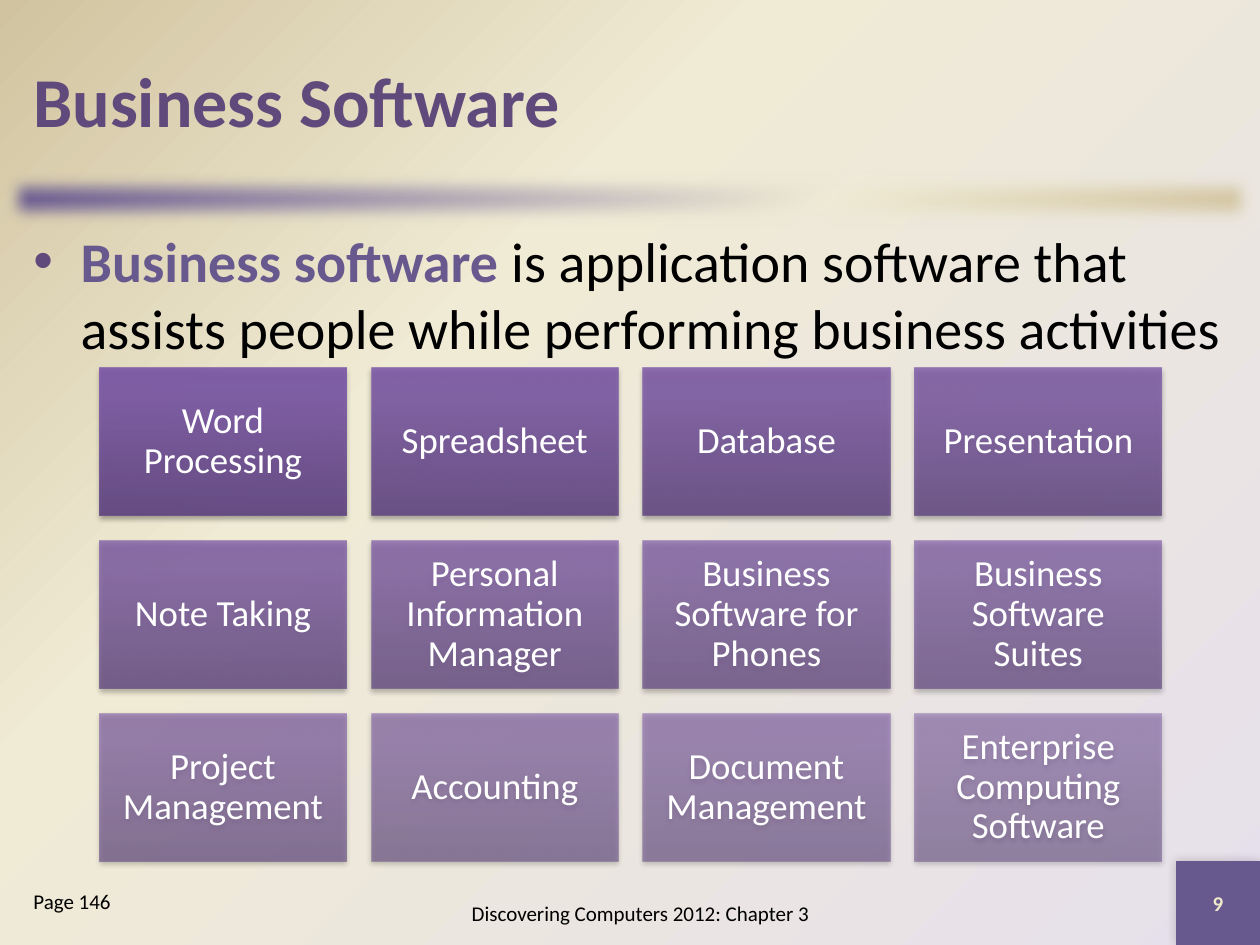
from lxml import etree
from pptx import Presentation
from pptx.dml.color import RGBColor
from pptx.enum.shapes import MSO_SHAPE
from pptx.enum.text import MSO_ANCHOR, PP_ALIGN
from pptx.oxml import parse_xml
from pptx.oxml.ns import qn
from pptx.util import Pt

RECT = MSO_SHAPE.RECTANGLE
LEFT, CENTER = PP_ALIGN.LEFT, PP_ALIGN.CENTER
TOP, MIDDLE = MSO_ANCHOR.TOP, MSO_ANCHOR.MIDDLE
FONT = "Calibri"
NS = 'xmlns:a="http://schemas.openxmlformats.org/drawingml/2006/main"'
C = {
    "lilac": "E6E0EC", "cream": "F0EBD5", "tan": "D1C39F",
    "purple": "67588E", "title": "604A7B", "number": "EEEBCA",
    "card_dark": "5F4480", "card_mid": "7B58A6", "card_light": "7C57A8",
    "black": "000000", "white": "FFFFFF",
}
SHADOW = (
    f'<a:effectLst {NS}><a:outerShdw blurRad="{{blur}}" dist="{{dist}}" dir="{{angle}}" '
    'algn="ctr" rotWithShape="0"><a:srgbClr val="000000"><a:alpha val="{alpha}"/>'
    '</a:srgbClr></a:outerShdw></a:effectLst>'
)


def set_gradient(fill, parent, stops, direction, opacity=100):
    fill.gradient()
    grad = parent.find(".//" + qn("a:gradFill"))
    for child in list(grad):
        grad.remove(child)
    gs_list = etree.SubElement(grad, qn("a:gsLst"))
    for pos, color in stops:
        gs = etree.SubElement(gs_list, qn("a:gs"), pos=str(pos * 1000))
        clr = etree.SubElement(gs, qn("a:srgbClr"), val=C[color])
        if opacity < 100:
            etree.SubElement(clr, qn("a:alpha"), val=str(round(opacity * 1000)))
    grad.append(parse_xml(direction))


def write(sp, runs, size, align=LEFT, anchor=TOP):
    tf = sp.text_frame
    tf.word_wrap = True
    tf.vertical_anchor = anchor
    p = tf.paragraphs[0]
    p.alignment = align
    for text, color, bold in runs:
        r = p.add_run()
        r.text = text
        r.font.name = FONT
        r.font.size = Pt(size)
        r.font.bold = bold
        r.font.color.rgb = RGBColor.from_string(C[color])
    return p


prs = Presentation()
prs.slide_width, prs.slide_height = Pt(720), Pt(540)
s = prs.slides.add_slide(prs.slide_layouts[6])
set_gradient(
    s.background.fill, s._element,
    [(0, "lilac"), (65, "cream"), (100, "tan")],
    f'<a:path {NS} path="circle"><a:fillToRect l="100000" t="100000"/></a:path>',
)

band = s.shapes.add_shape(RECT, Pt(0), Pt(96), Pt(720), Pt(36))
band.line.fill.background()
set_gradient(
    band.fill, band._element.spPr,
    [(0, "purple"), (65, "cream"), (100, "tan")],
    f'<a:lin {NS} ang="2700000" scaled="0"/>',
)
band._element.spPr.append(parse_xml(
    f'<a:effectLst {NS}><a:softEdge rad="{Pt(10)}"/></a:effectLst>'))

corner = s.shapes.add_shape(RECT, Pt(672), Pt(492), Pt(48), Pt(48))
corner.fill.solid()
corner.fill.fore_color.rgb = RGBColor.from_string(C["purple"])
corner.line.fill.background()
corner._element.spPr.append(parse_xml(
    SHADOW.format(blur=Pt(6), dist=0, angle=225 * 60000, alpha=20000)))
write(corner, [("9", "number", True)], 12, CENTER, MIDDLE)

title = s.shapes.add_textbox(Pt(12), Pt(12), Pt(696), Pt(90))
write(title, [("Business Software", "title", True)], 40, anchor=MIDDLE)

body = s.shapes.add_textbox(Pt(12), Pt(126), Pt(696), Pt(366))
p = write(body, [
    ("Business software ", "purple", True),
    ("is application software that assists people while performing business activities",
     "black", False),
], 32)
pPr = p._p.get_or_add_pPr()
pPr.set("marL", str(Pt(27)))
pPr.set("indent", str(-Pt(27)))
bullet_color = etree.SubElement(pPr, qn("a:buClr"))
etree.SubElement(bullet_color, qn("a:srgbClr"), val=C["title"])
etree.SubElement(pPr, qn("a:buFont"), typeface="Arial")
etree.SubElement(pPr, qn("a:buChar"), char="•")

footer = s.shapes.add_textbox(Pt(216), Pt(504), Pt(300), Pt(36))
write(footer, [("Discovering Computers 2012: Chapter 3", "black", False)], 12, CENTER, MIDDLE)

page = s.shapes.add_textbox(Pt(12), Pt(504), Pt(132), Pt(36))
write(page, [("Page 146", "black", False)], 12)

categories = [
    "Word Processing", "Spreadsheet", "Database", "Presentation",
    "Note Taking", "Personal Information Manager",
    "Business Software for Phones", "Business Software Suites",
    "Project Management", "Accounting", "Document Management",
    "Enterprise Computing Software",
]
cols, card_w, card_h, gap = 4, 141.2, 84.7, 14.1
for i, category in enumerate(categories):
    row, col = divmod(i, cols)
    card = s.shapes.add_shape(
        RECT, Pt(56.8 + col * (card_w + gap)), Pt(210 + row * (card_h + gap)),
        Pt(card_w), Pt(card_h))
    card.line.fill.background()
    set_gradient(
        card.fill, card._element.spPr,
        [(0, "card_dark"), (80, "card_mid"), (100, "card_light")],
        f'<a:lin {NS} ang="16200000" scaled="0"/>',
        90 - 40 * i / (len(categories) - 1),
    )
    card._element.spPr.append(parse_xml(
        SHADOW.format(blur=Pt(3.1), dist=Pt(1.8), angle=90 * 60000, alpha=35000)))
    tf = card.text_frame
    tf.margin_left = tf.margin_right = tf.margin_top = tf.margin_bottom = Pt(6.3)
    p = write(card, [(category, "white", False)], 21, CENTER, MIDDLE)
    p.line_spacing = 0.9

prs.save("out.pptx")
